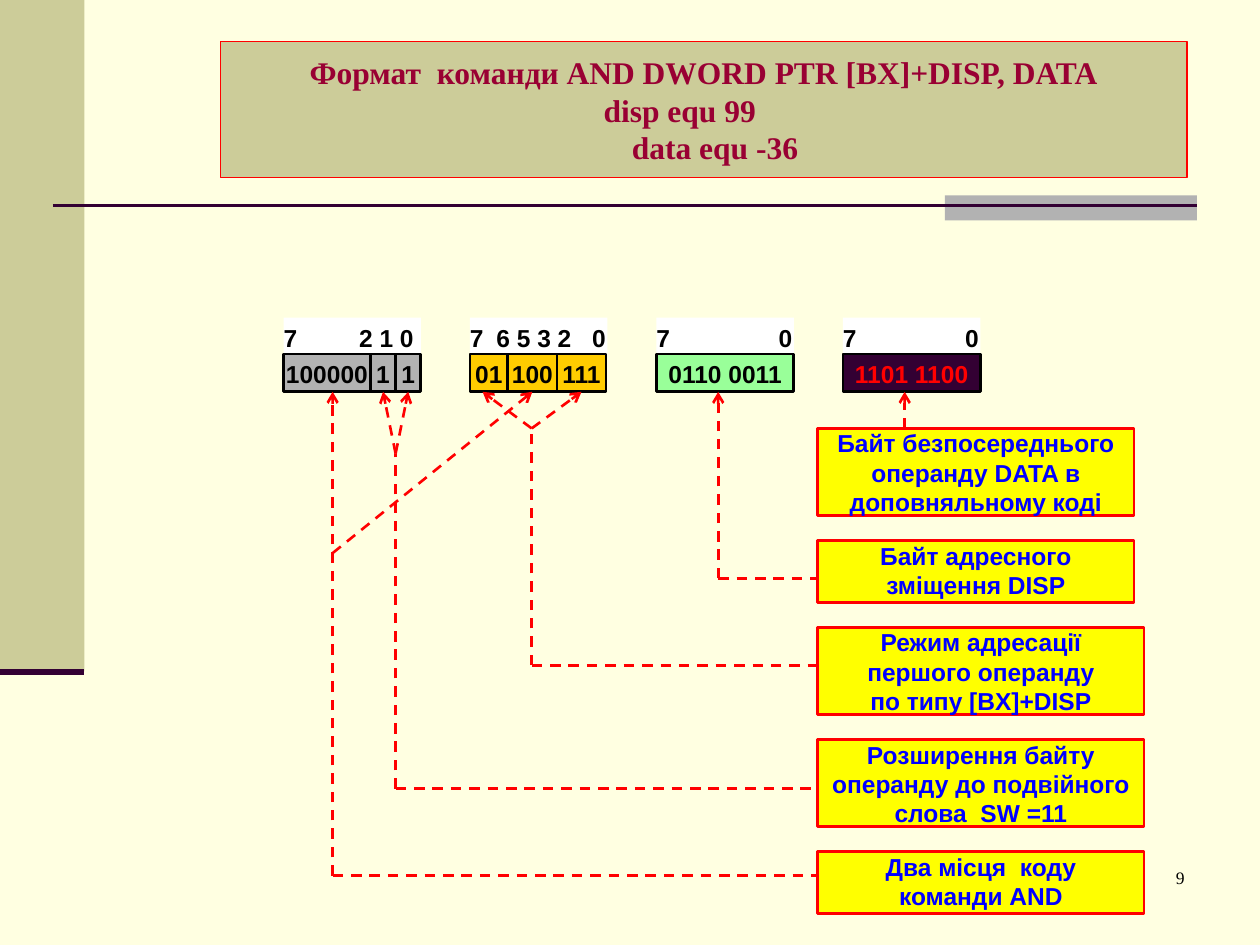
from lxml.etree import SubElement
from pptx import Presentation
from pptx.dml.color import RGBColor
from pptx.enum.dml import MSO_LINE
from pptx.enum.shapes import MSO_CONNECTOR, MSO_SHAPE
from pptx.enum.text import MSO_ANCHOR, MSO_AUTO_SIZE, PP_ALIGN
from pptx.oxml.ns import qn
from pptx.util import Inches, Pt

RED, BLACK, BLUE = "FF0000", "000000", "0000FF"
OLIVE, GREY, PLUM = "CCCC99", "B2B2B2", "330033"
BYTE_X, BYTE_STEP, BYTE_W = 2.25, 1.48, 1.09
LABEL_Y, CELL_Y, CELL_H = 2.52, 2.81, 0.3
CELL_BOTTOM = CELL_Y + CELL_H
NOTE_X, NOTE_Y, NOTE_GAP = 6.49, 3.4, 0.2


def rgb(color):
    return RGBColor.from_string(color)


def style_paragraph(p, size, color, font="Arial", bold=True, align=PP_ALIGN.CENTER):
    p.alignment = align
    p.font.name, p.font.size, p.font.bold = font, Pt(size), bold
    p.font.color.rgb = rgb(color)


def add_box(s, x, y, w, h, fill, line=None, width=1.5):
    sp = s.shapes.add_shape(MSO_SHAPE.RECTANGLE, Inches(x), Inches(y), Inches(w), Inches(h))
    sp.shadow.inherit = False
    sp.fill.solid()
    sp.fill.fore_color.rgb = rgb(fill)
    if line:
        sp.line.color.rgb = rgb(line)
        sp.line.width = Pt(width)
    else:
        sp.line.fill.background()
    return sp


def write(sp, text, color, top=0.0, align=PP_ALIGN.CENTER):
    tf = sp.text_frame
    tf.word_wrap = True
    tf.vertical_anchor = MSO_ANCHOR.TOP
    tf.margin_left = tf.margin_right = tf.margin_bottom = 0
    tf.margin_top = Inches(top)
    tf.text = text
    for p in tf.paragraphs:
        style_paragraph(p, 14, color, align=align)


def add_line(s, start, end, color=RED, width=1.5, dash=True, arrow=False):
    c = s.shapes.add_connector(MSO_CONNECTOR.STRAIGHT, *map(Inches, start + end))
    c.line.color.rgb = rgb(color)
    c.line.width = Pt(width)
    if dash:
        c.line.dash_style = MSO_LINE.DASH
    if arrow:
        SubElement(c.line._get_or_add_ln(), qn("a:tailEnd"), type="arrow")
    SubElement(c._element.spPr, qn("a:effectLst"))
    return c


def add_decor(s):
    add_box(s, 0, 0, 0.67, 5.33, OLIVE)
    add_box(s, 7.5, 1.55, 2, 0.2, GREY)
    add_line(s, (0.42, 1.63), (9.5, 1.63), PLUM, 1.5, dash=False)
    add_line(s, (0, 5.33), (0.67, 5.33), PLUM, 3.5, dash=False)


def add_title(s):
    sp = s.shapes.title
    sp.left, sp.top, sp.width, sp.height = map(Inches, (1.75, 0.33, 7.67, 1.08))
    sp.fill.solid()
    sp.fill.fore_color.rgb = rgb(OLIVE)
    sp.line.color.rgb = rgb(RED)
    sp.line.width = Pt(0.75)
    tf = sp.text_frame
    tf.auto_size = MSO_AUTO_SIZE.NONE
    tf.vertical_anchor = MSO_ANCHOR.MIDDLE
    tf.text = "Формат  команди AND DWORD PTR [BX]+DISP, DATA\ndisp equ 99\ndata equ -36"
    # The two constants stand slightly off centre
    for p, left, right in zip(tf.paragraphs, (0, 0, 0.18), (0, 0.38, 0)):
        style_paragraph(p, 18, "990033", "Times New Roman")
        pPr = p._p.get_or_add_pPr()
        pPr.set("marL", str(Inches(left)))
        pPr.set("marR", str(Inches(right)))


def add_byte(s, index, bits, stops, cells, fill, color=BLACK):
    """Draw one byte: bit numbers on tab stops above its bit fields."""
    x = BYTE_X + index * BYTE_STEP
    label = add_box(s, x, LABEL_Y, BYTE_W, CELL_Y - LABEL_Y, "FFFFFF")
    write(label, bits, BLACK, 0.04, PP_ALIGN.LEFT)
    tabs = SubElement(label.text_frame.paragraphs[0]._p.get_or_add_pPr(), qn("a:tabLst"))
    # Tab list belongs before the default run properties
    tabs.getparent().insert(0, tabs)
    for stop in stops:
        SubElement(tabs, qn("a:tab"), pos=str(Inches(stop)), algn="l")
    boxes = []
    for text, w in cells:
        sp = add_box(s, x, CELL_Y, w, CELL_H, fill, BLACK)
        write(sp, text, color, 0.04)
        boxes.append(sp)
        x += w
    return boxes


def add_notes(s):
    notes = [
        ("Байт безпосереднього операнду DATA в\nдоповняльному коді", 2.51, 0.69),
        ("Байт адресного\nзміщення DISP", 2.51, 0.49),
        ("Режим адресації\nпершого операнду\nпо типу [BX]+DISP", 2.59, 0.69),
        ("Розширення байту\nоперанду до подвійного слова  SW =11", 2.59, 0.69),
        ("Два місця  коду\nкоманди AND", 2.59, 0.49),
    ]
    y = NOTE_Y
    for text, w, h in notes:
        write(add_box(s, NOTE_X, y, w, h, "FFFF00", RED), text, BLUE)
        y += h + NOTE_GAP


def add_links(s, opcode, mode):
    # Stems from the notes: x, y at the note, y at the top, arrow at the top
    stems = [(5.7, 4.59, CELL_BOTTOM, True), (4.22, 5.28, 3.4, False),
             (3.14, 6.26, 3.6, False), (2.64, 6.95, CELL_BOTTOM, True)]
    for x, y, top, arrow in stems:
        add_line(s, (x, y), (NOTE_X, y))
        add_line(s, (x, y), (x, top), arrow=arrow)
    add_line(s, (7.18, NOTE_Y), (7.18, CELL_BOTTOM), arrow=True)
    # Branches to single bit fields
    add_line(s, (4.22, 3.4), (3.83, CELL_BOTTOM), arrow=True)
    branches = [((4.22, 3.4), 4.62, mode[2]), ((2.64, 4.39), 4.22, mode[1]),
                ((3.14, 3.6), 3.04, opcode[1]), ((3.14, 3.6), 3.24, opcode[2])]
    for start, x, cell in branches:
        add_line(s, start, (x, CELL_BOTTOM), arrow=True).end_connect(cell, 2)


def add_page_number(s):
    sp = s.shapes.add_textbox(Inches(7.42), Inches(6.83), Inches(2.08), Inches(0.5))
    tf = sp.text_frame
    tf.word_wrap = True
    tf.text = "9"
    style_paragraph(tf.paragraphs[0], 10, BLACK, "Times New Roman", False, PP_ALIGN.RIGHT)


def main():
    prs = Presentation()
    prs.slide_width, prs.slide_height = Inches(10), Inches(7.5)
    s = prs.slides.add_slide(prs.slide_layouts[5])
    s.background.fill.solid()
    s.background.fill.fore_color.rgb = rgb("FFFFE1")
    add_decor(s)
    add_title(s)
    # Instruction bytes
    opcode = add_byte(s, 0, "7\t2 1 0", (0.6,),
                      [("100000", 0.69), ("1", 0.2), ("1", 0.2)], GREY)
    mode = add_byte(s, 1, "7\t6 5 3 2\t0", (0.21, 0.97),
                    [("01", 0.3), ("100", 0.39), ("111", 0.39)], "FFCC00")
    add_byte(s, 2, "7\t0", (0.97,), [("0110 0011", BYTE_W)], "99FF99")
    add_byte(s, 3, "7\t0", (0.97,), [("1101 1100", BYTE_W)], PLUM, RED)
    # Explanations
    add_notes(s)
    add_links(s, opcode, mode)
    add_page_number(s)
    prs.save("out.pptx")


if __name__ == "__main__":
    main()
